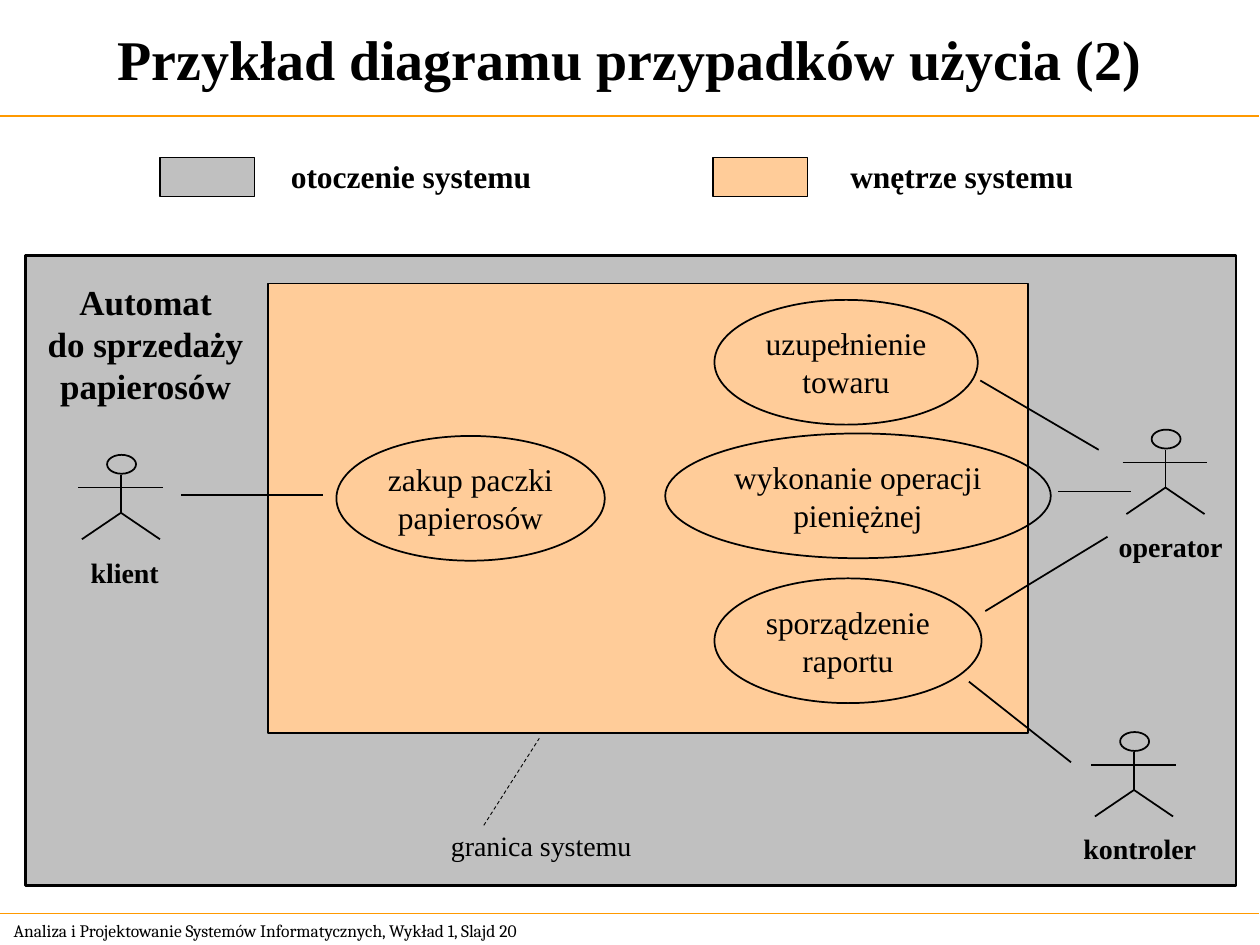
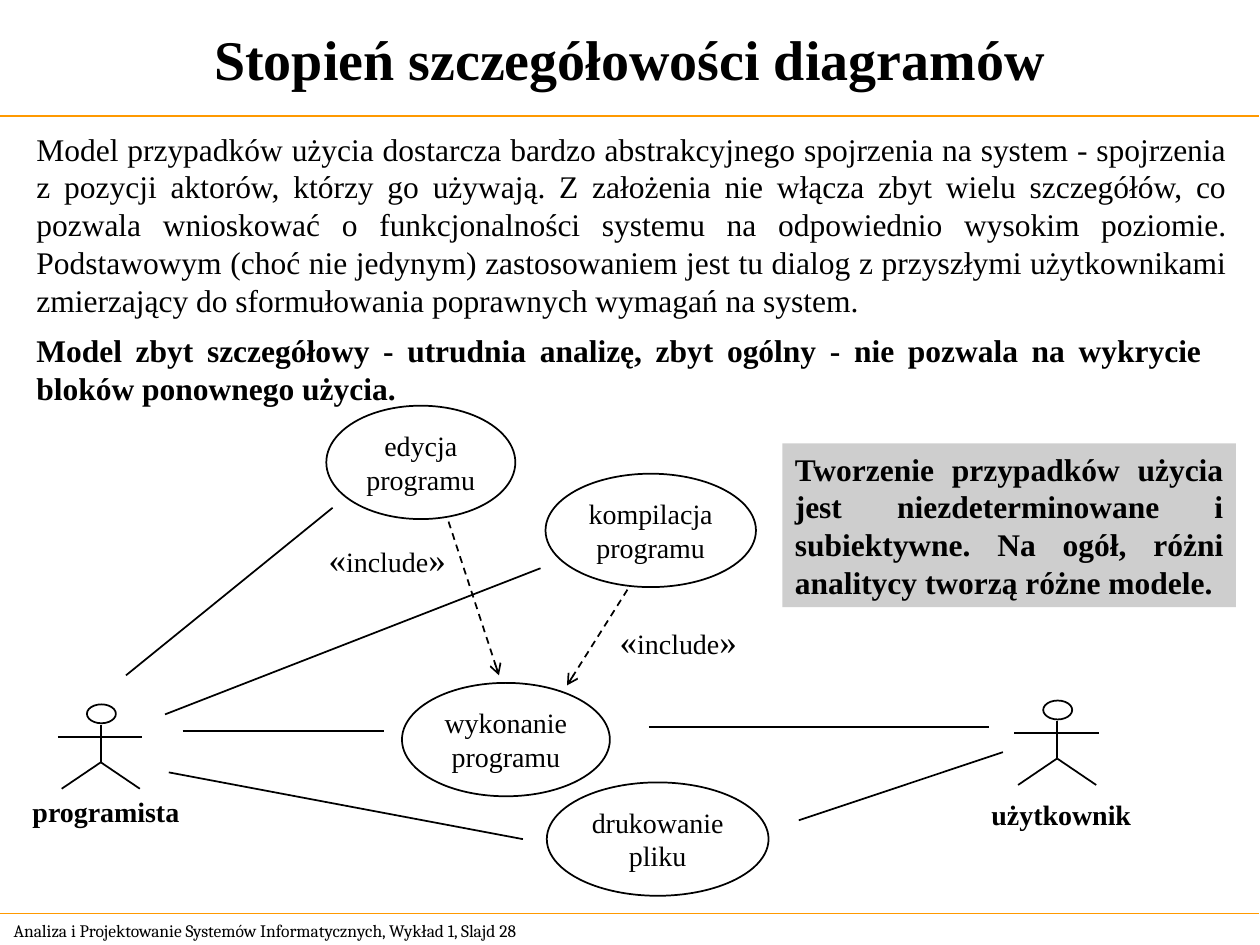
from lxml import etree
from pptx import Presentation
from pptx.dml.color import RGBColor
from pptx.enum.dml import MSO_LINE
from pptx.enum.shapes import MSO_CONNECTOR, MSO_SHAPE
from pptx.enum.text import MSO_ANCHOR, MSO_AUTO_SIZE, PP_ALIGN
from pptx.oxml.ns import qn
from pptx.util import Inches, Pt

BLACK = RGBColor(0x00, 0x00, 0x00)
ORANGE = RGBColor(0xFF, 0x99, 0x00)
GREY = RGBColor(0xC0, 0xC0, 0xC0)
LIGHT_GREY = RGBColor(0xCE, 0xCE, 0xCE)
PEACH = RGBColor(0xFF, 0xCC, 0x99)
SERIF, FOOTER_FONT = "Times New Roman", "Cambria"
FOOTER = "Analiza i Projektowanie Systemów Informatycznych, Wykład 1, Slajd {}"
INCLUDE = [("«", 20), ("include", 16), ("»", 20)]


def write(tf, text, size=18, bold=False, font=SERIF, align=PP_ALIGN.LEFT,
          anchor=MSO_ANCHOR.TOP, wrap=True):
    """Fill a frame with lines of text, or with one line of (text, size) runs."""
    tf.word_wrap, tf.vertical_anchor = wrap, anchor
    if isinstance(text, str):
        lines = [[(line, size)] for line in text.split("\n")]
    else:
        lines = [text]
    for i, runs in enumerate(lines):
        p = tf.paragraphs[0] if i == 0 else tf.add_paragraph()
        p.alignment = align
        for part, points in runs:
            r = p.add_run()
            r.text = part
            r.font.name, r.font.size, r.font.bold = font, Pt(points), bold
            r.font.color.rgb = BLACK


class Deck:
    """Holds the shared style and the current slide."""

    def __init__(self):
        self.prs = Presentation()
        self.prs.slide_width, self.prs.slide_height = Inches(10), Inches(7.5)
        self.s = None

    def slide(self, title, number):
        self.s = self.prs.slides.add_slide(self.prs.slide_layouts[5])
        self.text(FOOTER.format(number), 0.01, 7.25, 4.75, 0.27, size=10,
                  font=FOOTER_FONT, anchor=MSO_ANCHOR.MIDDLE)
        for y in (0.92, 7.25):
            self.line((-0.01, y), (9.99, y), color=ORANGE, width=0.75)
        sp = self.s.shapes.title
        sp.left, sp.top, sp.width, sp.height = map(Inches, (0, 0, 10, 0.92))
        write(sp.text_frame, title, size=32, bold=True, align=PP_ALIGN.CENTER,
              anchor=MSO_ANCHOR.MIDDLE)
        sp.text_frame.auto_size = MSO_AUTO_SIZE.NONE

    def text(self, text, x, y, w, h, **fmt):
        sp = self.s.shapes.add_textbox(*map(Inches, (x, y, w, h)))
        write(sp.text_frame, text, **fmt)
        sp.text_frame.auto_size = MSO_AUTO_SIZE.NONE

    def shape(self, kind, x, y, w, h, fill=None, width=1, parent=None):
        sp = (parent or self.s).shapes.add_shape(kind, *map(Inches, (x, y, w, h)))
        sp.shadow.inherit = False
        if fill is None:
            sp.fill.background()
        else:
            sp.fill.solid()
            sp.fill.fore_color.rgb = fill
        if width:
            sp.line.color.rgb, sp.line.width = BLACK, Pt(width)
        else:
            sp.line.fill.background()
        return sp

    def box(self, x, y, w, h, fill, width=1):
        return self.shape(MSO_SHAPE.RECTANGLE, x, y, w, h, fill, width)

    def use_case(self, text, x, y, w, h, size):
        sp = self.shape(MSO_SHAPE.OVAL, x, y, w, h)
        write(sp.text_frame, text, size=size, align=PP_ALIGN.CENTER, wrap=False)

    def line(self, start, end, color=BLACK, width=1, dash=False, arrow=False,
             parent=None):
        c = (parent or self.s).shapes.add_connector(
            MSO_CONNECTOR.STRAIGHT, *map(Inches, (*start, *end)))
        c.line.color.rgb, c.line.width = color, Pt(width)
        if dash:
            c.line.dash_style = MSO_LINE.DASH
        sp_pr = c._element.spPr
        if arrow:
            etree.SubElement(sp_pr.find(qn("a:ln")), qn("a:tailEnd"), type="arrow")
        etree.SubElement(sp_pr, qn("a:effectLst"))

    def actor(self, name, cx, top, label_x, label_y, label_w):
        """Stick figure centred on cx, with its name in a box below."""
        figure = self.s.shapes.add_group_shape()
        self.shape(MSO_SHAPE.OVAL, cx - 0.11, top, 0.23, 0.15, parent=figure)
        hip = (cx, top + 0.46)
        limbs = [((cx, top + 0.16), hip),
                 ((cx - 0.34, top + 0.26), (cx + 0.33, top + 0.26))]
        limbs += [(hip, (cx + dx, top + 0.67)) for dx in (0.31, -0.31)]
        for start, end in limbs:
            self.line(start, end, parent=figure)
        self.text(name, label_x, label_y, label_w, 0.36, size=16, bold=True)


def vending_slide(d):
    d.slide("Przykład diagramu przypadków użycia (2)", 20)

    # Legend
    for fill, name, x, label_x, label_w in (
            (GREY, "otoczenie systemu", 1.27, 2.21, 2.2),
            (PEACH, "wnętrze systemu", 5.66, 6.65, 2.1)):
        d.box(x, 1.25, 0.75, 0.31, fill)
        d.text(name, label_x, 1.2, label_w, 0.4, bold=True)

    # Surroundings and system
    d.box(0.2, 2.03, 9.61, 5, GREY, width=1.5)
    d.box(2.13, 2.25, 6.03, 3.57, PEACH)
    d.text("Automat\ndo sprzedaży\npapierosów", 0.2, 2.18, 1.91, 1.1,
           size=20, bold=True, align=PP_ALIGN.CENTER)
    d.text("granica systemu", 3.48, 6.53, 1.8, 0.37, size=16)
    d.line((3.84, 6.55), (4.28, 5.86), width=0.5, dash=True)

    # Use cases
    for name, x, y, w in (
            ("zakup paczki\npapierosów", 2.67, 3.46, 2.13),
            ("uzupełnienie\ntowaru", 5.67, 2.38, 2.09),
            ("wykonanie operacji\npieniężnej", 5.28, 3.44, 3.06),
            ("sporządzenie\nraportu", 5.67, 4.59, 2.12)):
        d.use_case(name, x, y, w, 0.99, size=18)

    # Actors and their links
    d.actor("klient", 0.96, 3.61, 0.62, 4.36, 0.85)
    d.actor("operator", 9.25, 3.41, 8.78, 4.15, 1.15)
    d.actor("kontroler", 9, 5.81, 8.5, 6.55, 1.25)
    for start, end in (
            ((1.44, 3.93), (2.56, 3.93)), ((7.82, 4.85), (8.79, 4.26)),
            ((7.78, 3.02), (8.72, 3.57)), ((8.4, 3.9), (8.98, 3.9)),
            ((8.5, 6.05), (7.69, 5.41))):
        d.line(start, end)


def detail_slide(d):
    d.slide("Stopień szczegółowości diagramów", 28)

    # Explanation
    d.text("Model przypadków użycia dostarcza bardzo abstrakcyjnego spojrzenia "
           "na system - spojrzenia z pozycji aktorów, którzy go używają. "
           "Z założenia nie włącza zbyt wielu szczegółów, co pozwala wnioskować "
           "o funkcjonalności systemu na odpowiednio wysokim poziomie. "
           "Podstawowym (choć nie jedynym) zastosowaniem jest tu dialog "
           "z przyszłymi użytkownikami zmierzający do sformułowania poprawnych "
           "wymagań na system.",
           0.19, 0.98, 9.65, 1.6, align=PP_ALIGN.JUSTIFY)
    d.text("Model zbyt szczegółowy - utrudnia analizę, zbyt ogólny - nie pozwala "
           "na wykrycie bloków ponownego użycia.",
           0.19, 2.58, 9.45, 0.7, bold=True, align=PP_ALIGN.JUSTIFY)
    note = d.box(6.21, 3.52, 3.6, 1.3, LIGHT_GREY, width=0)
    write(note.text_frame,
          "Tworzenie przypadków użycia jest niezdeterminowane i subiektywne. "
          "Na ogół, różni analitycy tworzą różne modele.",
          bold=True, align=PP_ALIGN.JUSTIFY)

    # Use cases
    for name, x, y, w in (
            ("edycja\nprogramu", 2.59, 3.22, 1.5),
            ("kompilacja\nprogramu", 4.33, 3.76, 1.67),
            ("wykonanie\nprogramu", 3.19, 5.42, 1.65),
            ("drukowanie\npliku", 4.34, 6.21, 1.76)):
        d.use_case(name, x, y, w, 0.9, size=16)

    # Include relations
    for start, end, x, y in (((3.56, 4.14), (3.96, 5.36), 2.51, 4.22),
                             ((4.98, 4.68), (4.5, 5.44), 4.82, 4.87)):
        d.line(start, end, dash=True, arrow=True)
        d.text(INCLUDE, x, y, 1.25, 0.44)

    # Actors and their links
    d.actor("programista", 0.8, 5.59, 0.16, 6.26, 1.5)
    d.actor("użytkownik", 8.39, 5.56, 7.77, 6.28, 1.45)
    for start, end in (
            ((1.34, 6.13), (4.15, 6.66)), ((1.45, 5.8), (3.05, 5.8)),
            ((1.31, 5.67), (4.29, 4.51)), ((1, 5.36), (2.64, 4.03)),
            ((6.34, 6.51), (7.96, 5.97)), ((5.15, 5.77), (7.85, 5.77))):
        d.line(start, end)


def main():
    d = Deck()
    vending_slide(d)
    detail_slide(d)
    d.prs.save("out.pptx")


if __name__ == "__main__":
    main()
